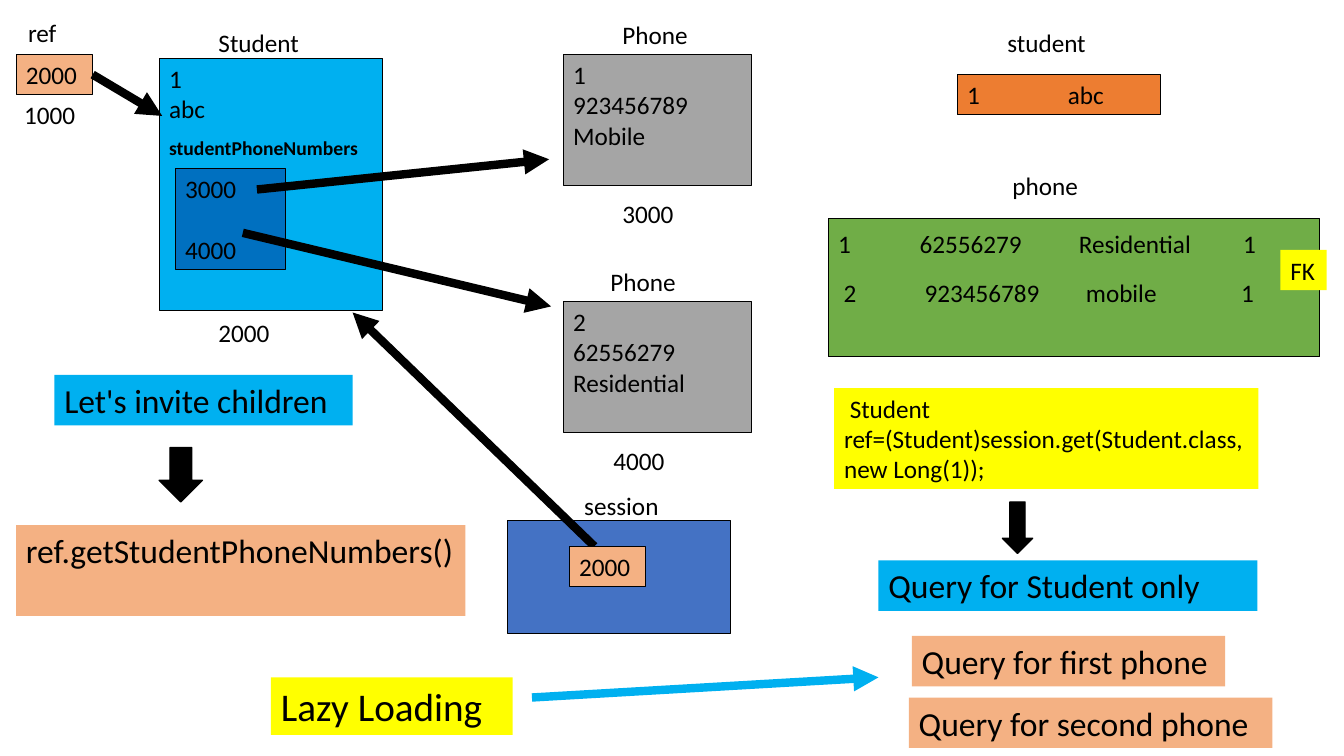
from lxml import etree
from pptx import Presentation
from pptx.dml.color import RGBColor
from pptx.enum.shapes import MSO_CONNECTOR, MSO_SHAPE
from pptx.enum.text import MSO_ANCHOR, PP_ALIGN
from pptx.oxml.ns import qn
from pptx.util import Inches, Pt

# The slide is a grid of 133.4 columns by 75 rows; all places are in cells.
COLUMNS, ROWS = 133.4, 75
CELL = Inches(0.1)
LABEL_HEIGHT = 4
COLORS = {
    "black": "000000", "sky": "00B0F0", "deep": "0070C0", "gray": "A5A5A5",
    "peach": "F4B183", "orange": "ED7D31", "green": "70AD47",
    "yellow": "FFFF00", "blue": "4472C4",
}


def color(name):
    return RGBColor.from_string(COLORS[name])


def cells(*lengths):
    return [round(length * CELL) for length in lengths]


def write(shape, lines, size=18, bold=False):
    frame = shape.text_frame
    frame.word_wrap = True
    frame.vertical_anchor = MSO_ANCHOR.TOP
    for index, line in enumerate(lines):
        para = frame.paragraphs[0] if index == 0 else frame.add_paragraph()
        para.text = line
        para.alignment = PP_ALIGN.LEFT
        for span in para.runs:
            span.font.name = "Calibri"
            span.font.size = Pt(size)
            span.font.bold = bold
            span.font.color.rgb = color("black")
    return frame.paragraphs


def label(page, left, top, width, text, **style):
    box = page.shapes.add_textbox(*cells(left, top, width, LABEL_HEIGHT))
    write(box, [text], **style)


def block(page, area, fill, lines=(), size=18, outline=0.75, kind=MSO_SHAPE.RECTANGLE):
    shape = page.shapes.add_shape(kind, *cells(*area))
    shape.shadow.inherit = False
    shape.fill.solid()
    shape.fill.fore_color.rgb = color(fill)
    if outline:
        shape.line.color.rgb = color("black")
        shape.line.width = Pt(outline)
    else:
        shape.line.fill.background()
    return write(shape, lines, size)


def note(page, area, fill, text, size=24):
    block(page, area, fill, [text], size, outline=None)


def down_arrow(page, area):
    block(page, area, "black", outline=1, kind=MSO_SHAPE.DOWN_ARROW)


def pointer(page, start, end, tint="black"):
    line = page.shapes.add_connector(MSO_CONNECTOR.STRAIGHT, *cells(*start, *end))
    line.line.color.rgb = color(tint)
    line.line.width = Pt(6)
    etree.SubElement(line.line._get_or_add_ln(), qn("a:tailEnd"), type="triangle")
    etree.SubElement(line._element.spPr, qn("a:effectLst"))


def set_tabs(para, stops):
    tabs = etree.SubElement(para._p.get_or_add_pPr(), qn("a:tabLst"))
    for stop in stops:
        etree.SubElement(tabs, qn("a:tab"), pos=str(cells(stop)[0]), algn="l")


# Reference variable with its name and address
def reference(page, area):
    left, top, width, height = area
    block(page, area, "peach", ["2000"])
    label(page, left - 0.2, top + height, 8.1, "1000")
    label(page, left + 0.2, top - 4.2, 6.7, "ref")
    pointer(page, (left + width, top + height / 2), (left + 14.5, top + 6.1))


# Student object holding its list of phone addresses
def student_object(page, area):
    left, top, width, height = area
    block(page, area, "sky", ["1", "abc"])
    label(page, left + 4.9, top - 3.6, 10.8, "Student")
    label(page, left + 4.9, top + height + 0.2, 8.4, "2000")
    label(page, left, top + 7.2, 26, "studentPhoneNumbers", size=14, bold=True)
    addresses = block(page, (left + 1.6, top + 10.9, 10.9, 10), "deep", ["3000", "4000"])
    addresses[1].space_before = Pt(22)
    pointer(page, (left + 9.7, top + 13), (left + 38.7, top + 10))
    pointer(page, (left + 8.3, top + 17.3), (left + 38.9, top + 24.6))


# Phone object; the shifts place its two labels from the box's left edge
def phone_object(page, area, lines, address, title_shift, address_shift):
    left, top, width, height = area
    block(page, area, "gray", lines)
    label(page, left + title_shift, top - 4, 10.8, "Phone")
    label(page, left + address_shift, top + height + 0.8, 8.4, address)


# Session cache pointing at the student object
def session_cache(page, area):
    left, top, width, height = area
    block(page, area, "blue")
    label(page, left + 6.6, top - 3.4, 10.8, "session")
    pointer(page, (left + 8.6, top + 2.6), (left - 15.4, top - 20.6))
    block(page, (left + 6.1, top + 2.6, 7.6, 4), "peach", ["2000"])


# Database rows for the student and the phones
def student_table(page, area):
    left, top, width, height = area
    row = block(page, area, "orange", ["1\tabc"])[0]
    set_tabs(row, [10])
    label(page, left + 4, top - 5.2, 11.2, "student")


def phone_table(page, area):
    left, top, width, height = area
    rows = block(page, area, "green",
                 ["1\t62556279\tResidential\t1", " 2\t923456789\tmobile\t1"])
    for row, stops in zip(rows, [(8.1, 23.9, 40.2), (8.6, 24.6, 40)]):
        row.line_spacing = 1.15
        row.space_after = Pt(10)
        set_tabs(row, stops)
    label(page, left + 17.3, top - 5.3, 10.2, "phone")
    note(page, (left + 44.9, top + 3.1, 4.6, 4), "yellow", "FK", size=18)


# Call that loads the student, and the queries that follow
def query_steps(page, area):
    left, top, width, height = area
    note(page, (left, top, width, 10), "yellow",
         " Student ref=(Student)session.get(Student.class,new Long(1));", size=18)
    down_arrow(page, (left + 16.7, top + 11.3, 3, 5.1))
    note(page, (left + 4.4, top + 17.1, 37.6, 5), "sky", "Query for Student only")
    note(page, (left + 7.7, top + 24.6, 31.1, 5), "peach", "Query for first phone")
    note(page, (left + 7.4, top + 30.7, 36.1, 5), "peach", "Query for second phone")


# Getter call that triggers lazy loading
def lazy_loading(page, area):
    left, top, width, height = area
    note(page, (left + 3.8, top, 29.6, 5), "sky", "Let's invite children")
    down_arrow(page, (left + 14.2, top + 7.2, 4.3, 5.4))
    note(page, (left, top + 14.9, 44.6, 9), "peach", "ref.getStudentPhoneNumbers()")
    note(page, (left + 25.3, top + 30, 24, 5.7), "yellow", "Lazy Loading", size=28)
    pointer(page, (left + 51.2, top + 32), (left + 85.6, top + 30), "sky")


def main():
    deck = Presentation()
    deck.slide_width, deck.slide_height = cells(COLUMNS, ROWS)
    page = deck.slides.add_slide(deck.slide_layouts[6])
    student_object(page, (15.8, 5.8, 22.2, 25))
    reference(page, (1.6, 5.4, 7.6, 4))
    phone_object(page, (55.9, 5.4, 18.7, 13), ["1", "923456789", "Mobile"], "3000", 4.9, 4.9)
    phone_object(page, (55.9, 29.9, 18.7, 13), ["2", "62556279", "Residential"], "4000", 3.7, 4)
    session_cache(page, (50.4, 51.6, 22.1, 11.3))
    student_table(page, (95, 7.4, 20.2, 4))
    phone_table(page, (82.2, 21.7, 48.8, 13.7))
    query_steps(page, (82.8, 38.5, 42.1, 35.7))
    lazy_loading(page, (1.6, 37.2, 49.3, 35.7))
    deck.save("out.pptx")


if __name__ == "__main__":
    main()
